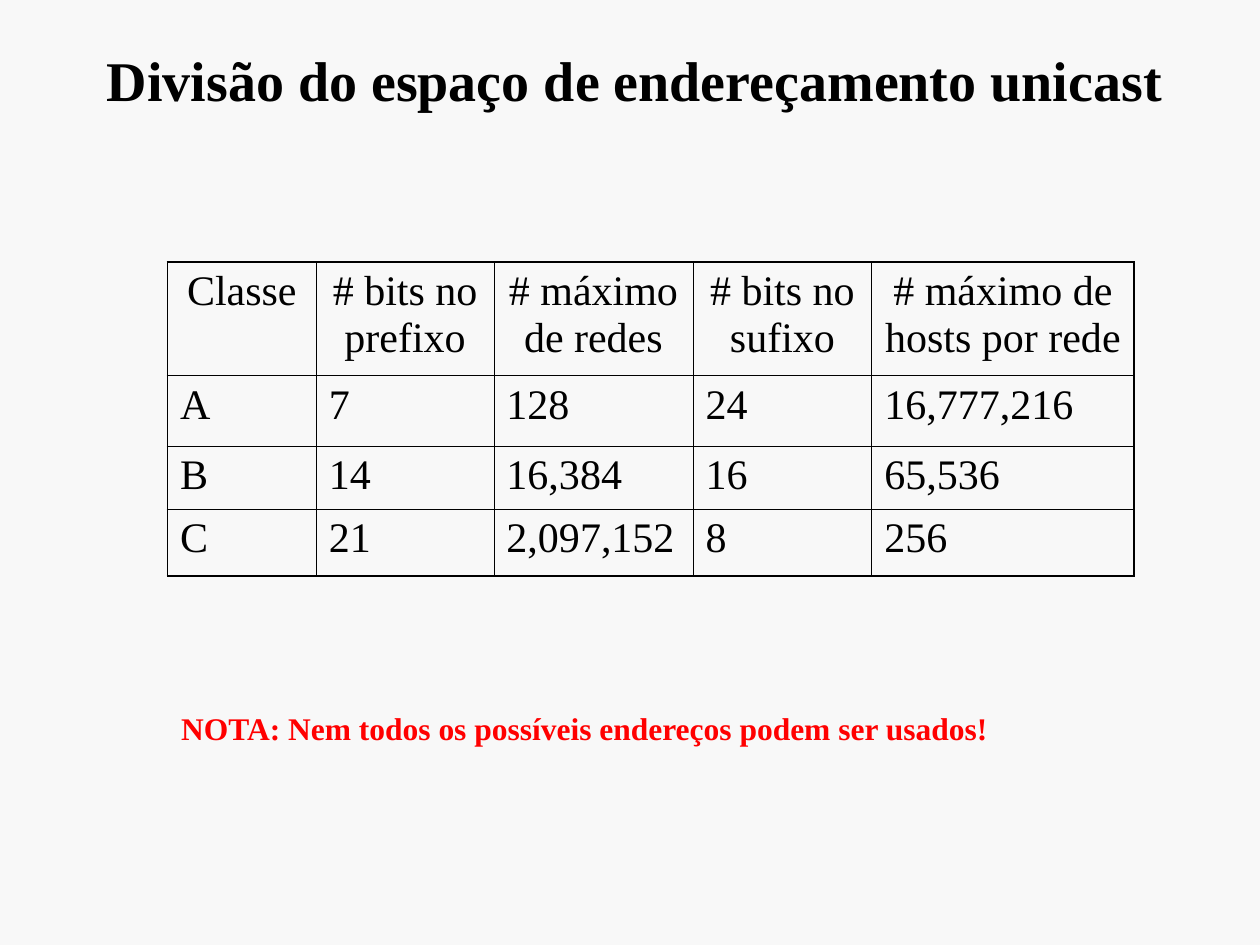
from pptx import Presentation
from pptx.dml.color import RGBColor
from pptx.enum.text import MSO_ANCHOR, PP_ALIGN
from pptx.oxml import parse_xml
from pptx.oxml.ns import nsdecls
from pptx.util import Inches, Pt

COLORS = {"background": "F8F8F8", "text": "000000", "note": "FF0000"}
FONT = "Times New Roman"
OUTER_LINE, INNER_LINE = 1.08, 0.45

COLUMN_WIDTHS = [1.18, 1.41, 1.58, 1.42, 2.08]
ROW_HEIGHTS = [0.9, 0.56, 0.5, 0.53]
ROWS = [
    ["Classe", "# bits no prefixo", "# máximo de redes", "# bits no sufixo",
     "# máximo de hosts por rede"],
    ["A", "7", "128", "24", "16,777,216"],
    ["B", "14", "16,384", "16", "65,536"],
    ["C", "21", "2,097,152", "8", "256"],
]


def write(text_frame, text, size, color="text", bold=False, align=PP_ALIGN.LEFT):
    paragraph = text_frame.paragraphs[0]
    paragraph.alignment = align
    run = paragraph.add_run()
    run.text = text
    run.font.name = FONT
    run.font.size = Pt(size)
    run.font.bold = bold
    run.font.color.rgb = RGBColor.from_string(COLORS[color])


def set_borders(cell, widths):
    """Draw the cell's sides; widths maps L, R, T and B to points."""
    properties = cell._tc.get_or_add_tcPr()
    for position, (side, width) in enumerate(widths.items()):
        properties.insert(position, parse_xml(
            f'<a:ln{side} {nsdecls("a")} w="{Pt(width)}"><a:solidFill>'
            f'<a:srgbClr val="{COLORS["text"]}"/></a:solidFill></a:ln{side}>'))


presentation = Presentation()
presentation.slide_width = Inches(10)
presentation.slide_height = Inches(7.5)
slide = presentation.slides.add_slide(presentation.slide_layouts[5])
slide.background.fill.solid()
slide.background.fill.fore_color.rgb = RGBColor.from_string(COLORS["background"])

title = slide.shapes.title
title.left, title.top = Inches(0.33), Inches(0)
title.width, title.height = Inches(9.42), Inches(1.25)
title.text_frame.vertical_anchor = MSO_ANCHOR.MIDDLE
write(title.text_frame, "Divisão do espaço de endereçamento unicast", 32,
      bold=True, align=PP_ALIGN.CENTER)

table = slide.shapes.add_table(
    len(ROW_HEIGHTS), len(COLUMN_WIDTHS), Inches(1.33), Inches(2.08),
    Inches(sum(COLUMN_WIDTHS)), Inches(sum(ROW_HEIGHTS))).table
table.first_row = False
table.horz_banding = False
for column, width in zip(table.columns, COLUMN_WIDTHS):
    column.width = Inches(width)
for row, height in zip(table.rows, ROW_HEIGHTS):
    row.height = Inches(height)

last_row, last_column = len(ROWS) - 1, len(COLUMN_WIDTHS) - 1
for row_index, values in enumerate(ROWS):
    for column_index, value in enumerate(values):
        cell = table.cell(row_index, column_index)
        cell.fill.background()
        align = PP_ALIGN.CENTER if row_index == 0 else PP_ALIGN.LEFT
        write(cell.text_frame, value, 24, align=align)
        on_edge = {"L": column_index == 0, "R": column_index == last_column,
                   "T": row_index == 0, "B": row_index == last_row}
        set_borders(cell, {side: OUTER_LINE if edge else INNER_LINE
                           for side, edge in on_edge.items()})

note = slide.shapes.add_textbox(Inches(1.34), Inches(5.58), Inches(6.63), Inches(0.4))
note.text_frame.word_wrap = False
write(note.text_frame, "NOTA: Nem todos os possíveis endereços podem ser usados!", 18,
      color="note", bold=True)

presentation.save("out.pptx")
